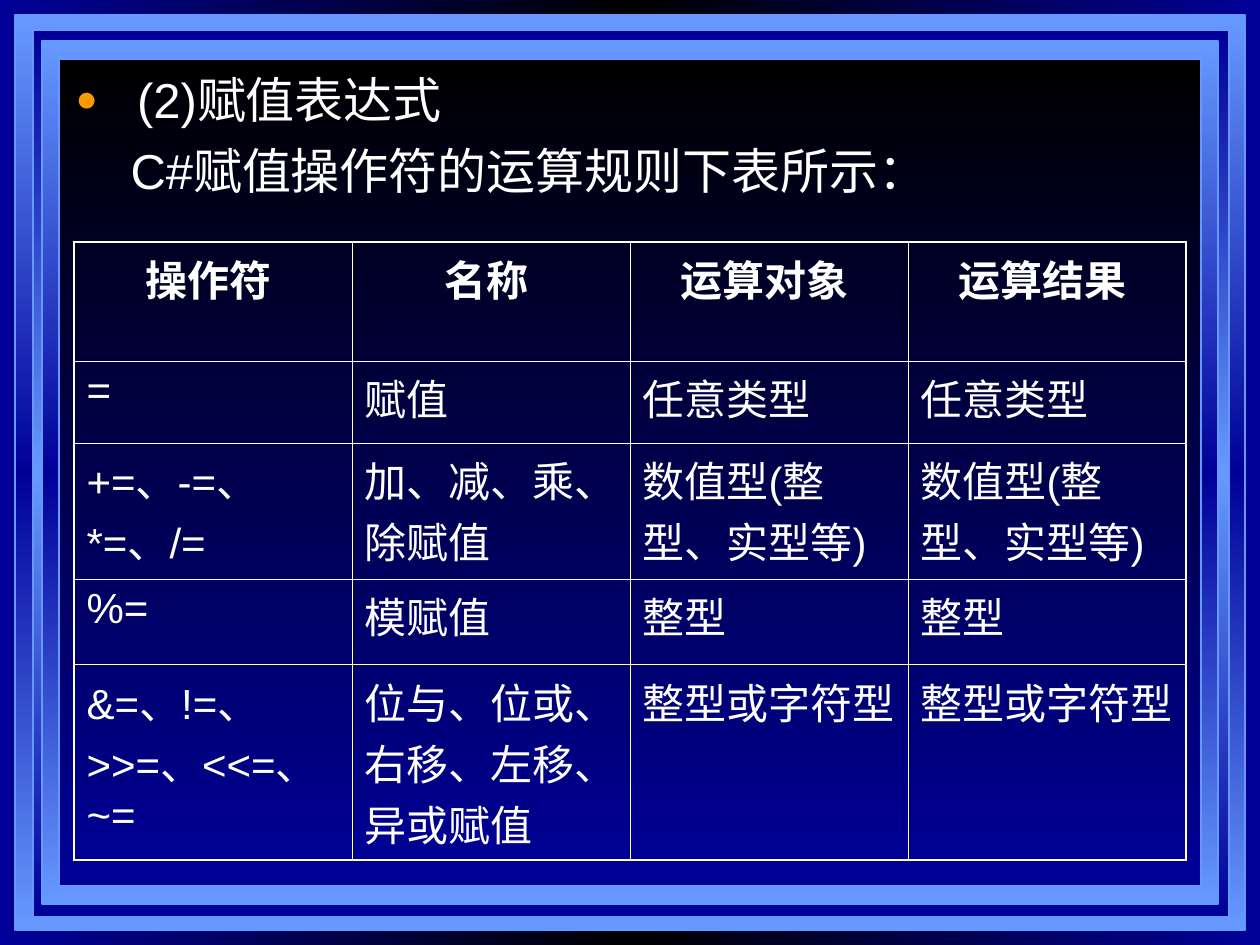
import pptx
import pptx.util
import pptx.dml.color
import pptx.enum.shapes
import pptx.enum.text
import pptx.oxml
import pptx.oxml.ns
from dataclasses import dataclass

PX = 914400 // 126


@dataclass(frozen=True)
class Theme:
    light: str = "6699FF"
    navy: str = "000099"
    black: str = "000000"
    text: str = "FFFFFF"
    bullet: str = "FF9900"
    font: str = "Arial"
    body_size: int = 28
    table_size: int = 24
    outer_border: float = 1.08
    inner_border: float = 0.45


theme = Theme()


def add_xml(parent, markup):
    parent.append(pptx.oxml.parse_xml(
        markup.replace(" ", f" {pptx.oxml.ns.nsdecls('a')} ", 1)))


def paint_gradient(fill, owner, colors, angle):
    fill.gradient()
    fill.gradient_angle = angle
    stops = owner.xpath(".//a:gsLst")[0]
    for stop in list(stops):
        stops.remove(stop)
    for i, color in enumerate(colors):
        position = 100000 * i // (len(colors) - 1)
        add_xml(stops, f'<a:gs pos="{position}"><a:srgbClr val="{color}"/></a:gs>')


rgb = pptx.dml.color.RGBColor.from_string
deck = pptx.Presentation()
deck.slide_width = pptx.util.Inches(10)
deck.slide_height = pptx.util.Inches(7.5)
slide = deck.slides.add_slide(deck.slide_layouts[1])
title = slide.shapes.title
title._element.getparent().remove(title._element)

# Background and nested frames
paint_gradient(slide.background.fill, slide._element,
               [theme.navy, theme.black, theme.navy], 180)
light_edges = [theme.light, theme.navy, theme.light]
dark_edges = [theme.navy, theme.light, theme.navy]
frames = [
    ((15, 15, 1230, 915), light_edges),
    ((33, 30, 1196, 887), dark_edges),
    ((42, 41, 1176, 863), light_edges),
    ((59, 59, 1142, 827), [theme.black, theme.navy]),
]
for box, colors in frames:
    frame = slide.shapes.add_shape(
        pptx.enum.shapes.MSO_SHAPE.RECTANGLE, *[v * PX for v in box])
    frame.shadow.inherit = False
    paint_gradient(frame.fill, frame._element, colors, 270)
    frame.line.color.rgb = rgb(theme.light)
    frame.line.width = pptx.util.Pt(1)

# Heading lines, brought in front of the frames
heading = slide.placeholders[1]
slide.shapes._spTree.append(heading._element)
heading.left, heading.top, heading.width, heading.height = [
    v * PX for v in (63, 63, 1144, 781)]
heading.text_frame.auto_size = pptx.enum.text.MSO_AUTO_SIZE.NONE
heading_lines = [(" (2)赋值表达式", 48, True),
                 ("C#赋值操作符的运算规则下表所示：", 55, False)]
for i, (words, margin, bulleted) in enumerate(heading_lines):
    line = heading.text_frame.paragraphs[0] if i == 0 else heading.text_frame.add_paragraph()
    properties = line._p.get_or_add_pPr()
    properties.set("marL", str(margin * PX))
    properties.set("indent", str(-margin * PX if bulleted else 0))
    if bulleted:
        add_xml(properties, f'<a:buClr ><a:srgbClr val="{theme.bullet}"/></a:buClr>')
        add_xml(properties, '<a:buSzPct val="75000"/>')
        add_xml(properties, '<a:buChar char="●"/>')
    else:
        add_xml(properties, '<a:buNone />')
    line.space_before = pptx.util.Pt(7 if i else 0)
    run = line.add_run()
    run.text = words
    run.font.name = theme.font
    run.font.size = pptx.util.Pt(theme.body_size)
    run.font.color.rgb = rgb(theme.text)

# Operator table
rows = [
    ["操作符 ", "名称 ", "运算对象 ", "运算结果 "],
    ["=", "赋值", "任意类型", "任意类型"],
    ["+=、-=、*=、/=", "加、减、乘、除赋值", "数值型(整型、实型等)", "数值型(整型、实型等)"],
    ["%=", "模赋值", "整型", "整型"],
    ["&=、!=、 >>=、<<=、~=", "位与、位或、右移、左移、异或赋值", "整型或字符型", "整型或字符型"],
]
row_heights = [119, 82, 136, 86, 195]
column_width = 278
last_row, last_column = len(rows) - 1, len(rows[0]) - 1
operators = slide.shapes.add_table(
    len(rows), len(rows[0]), 74 * PX, 242 * PX,
    column_width * len(rows[0]) * PX, sum(row_heights) * PX).table
operators.first_row = False
operators.horz_banding = False
for column in operators.columns:
    column.width = column_width * PX

for r, entries in enumerate(rows):
    operators.rows[r].height = row_heights[r] * PX
    for c, words in enumerate(entries):
        cell = operators.cell(r, c)
        borders = cell._tc.get_or_add_tcPr()
        edges = {"L": c == 0, "R": c == last_column, "T": r == 0, "B": r == last_row}
        for side, is_outer in edges.items():
            width = pptx.util.Pt(theme.outer_border if is_outer else theme.inner_border)
            add_xml(borders, f'<a:ln{side} w="{width}"><a:solidFill>'
                             f'<a:srgbClr val="{theme.text}"/></a:solidFill></a:ln{side}>')
        cell.fill.background()
        entry = cell.text_frame.paragraphs[0]
        # Keep punctuation inside the cell
        entry._p.get_or_add_pPr().set("hangingPunct", "0")
        if r == 0:
            entry.alignment = pptx.enum.text.PP_ALIGN.CENTER
        run = entry.add_run()
        run.text = words
        run.font.name = theme.font
        run.font.size = pptx.util.Pt(theme.table_size)
        run.font.bold = r == 0
        run.font.color.rgb = rgb(theme.text)

deck.save("out.pptx")
